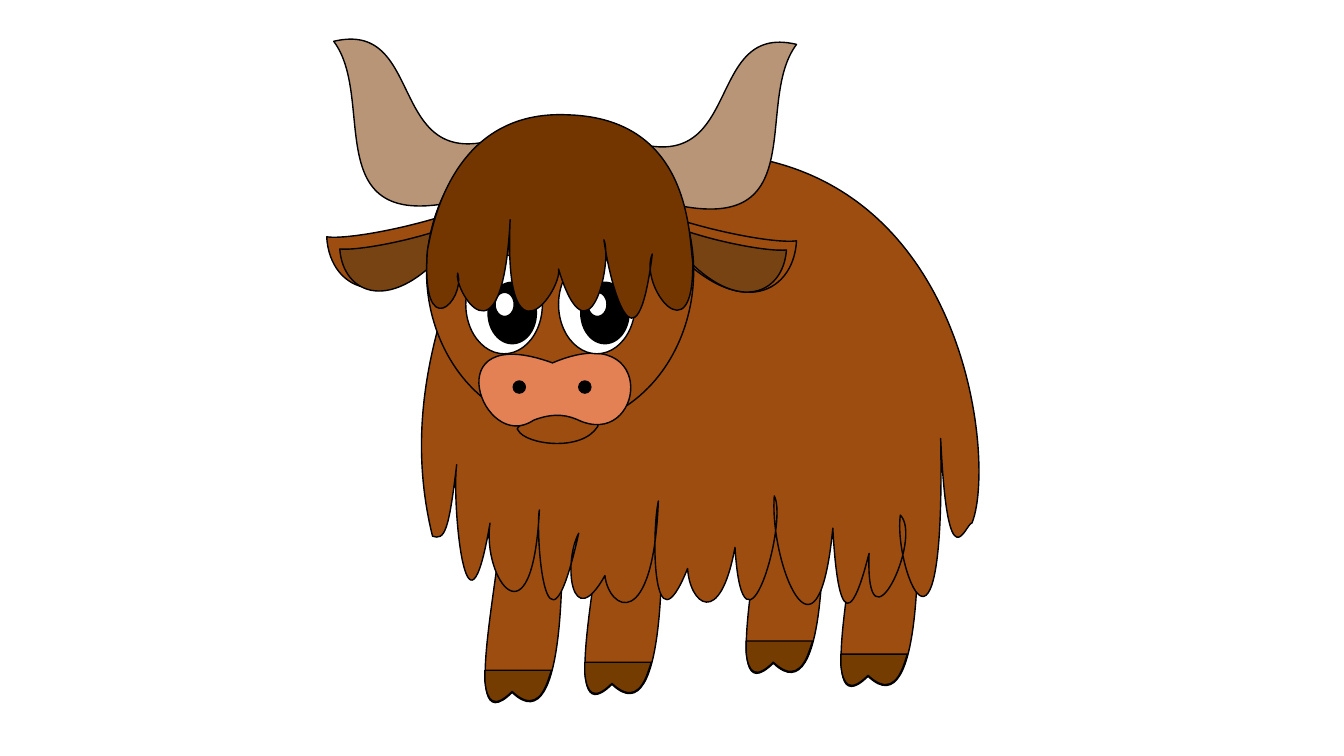
"""Draw a shaggy highland cow as one group of editable shapes."""
from dataclasses import dataclass

from lxml.etree import SubElement
from pptx import Presentation
from pptx.dml.color import RGBColor as RGB
from pptx.enum.shapes import MSO_SHAPE as SHAPE
from pptx.oxml.ns import qn
from pptx.util import Inches, Pt


@dataclass(frozen=True)
class Theme:
    coat: str = "9D4D10"
    hoof: str = "743C01"
    fringe: str = "733600"
    horn: str = "B89577"
    inner_ear: str = "784312"
    muzzle: str = "E38054"
    black: str = "000000"
    white: str = "FFFFFF"
    line_width: float = 1


LEG = [(5, 4.74), (5.56, 4.74), (5.59, 5.42, 5.64, 7.41, 5.08, 6.87),
       (4.5, 7.44, 5.05, 5.44, 5, 4.74)]
HOOF = [(4.81, 6.65), (5.47, 6.65), (5.44, 6.74),
        (5.37, 6.95, 5.26, 7.03, 5.08, 6.86),
        (4.9, 7.04, 4.83, 6.96, 4.81, 6.76), (4.81, 6.65)]
EAR = [(3.24, 2.35), (3.46, 2.38, 4.19, 2.24, 4.69, 2.04), (4.58, 2.3),
       (3.87, 3.17, 3.27, 2.9, 3.24, 2.35)]
INNER_EAR = [(3.37, 2.47), (3.55, 2.49, 4.15, 2.38, 4.56, 2.21), (4.47, 2.43),
             (3.89, 3.14, 3.4, 2.92, 3.37, 2.47)]
HORN = [(3.31, 0.41), (4.27, 0.18, 3.79, 1.86, 5.09, 1.32), (4.75, 1.94),
        (3.08, 2.44, 3.76, 1.01, 3.31, 0.41)]
BODY = [(4.75, 2.04),
        (9.44, 0.02, 9.94, 4.46, 9.64, 5.19), (9.58, 5.18, 9.4, 5.85, 9.33, 4.35),
        (9.38, 6.98, 8.86, 5.62, 8.93, 5.11), (9.16, 5.34, 8.58, 6.56, 8.62, 5.49),
        (8.6, 5.55, 8.34, 6.72, 8.26, 5.24), (8.11, 6.8, 7.63, 5.57, 7.68, 4.92),
        (7.82, 5.18, 7.37, 6.75, 7.29, 5.43), (7.14, 6.25, 6.84, 5.99, 6.82, 5.64),
        (6.47, 6.51, 6.46, 5.3, 6.53, 4.97), (6.48, 6.28, 6.04, 6.06, 6, 5.71),
        (5.67, 6.3, 5.58, 5.59, 5.74, 5.29), (5.4, 6.82, 5.31, 5.24, 5.35, 5.06),
        (5.28, 6.45, 4.78, 5.74, 4.86, 5.19), (4.62, 6.61, 4.48, 4.95, 4.53, 4.61),
        (4.45, 5.28, 4.41, 5.36, 4.29, 5.32), (3.97, 4.02, 4.42, 2.97, 4.75, 2.04)]
LIP = [(5.14, 4.27), (5.07, 4.24, 5.37, 4.1, 5.51, 4.1),
       (5.64, 4.09, 5.98, 4.19, 5.93, 4.23), (5.77, 4.49, 5.21, 4.41, 5.14, 4.27)]
MUZZLE = [(5.48, 3.6), (6.56, 3.14, 6.39, 4.49, 5.72, 4.16),
          (5.58, 4.1, 5.44, 4.11, 5.29, 4.17), (4.79, 4.51, 4.3, 3.17, 5.48, 3.6)]
FRINGE = [(4.54, 2.71),
          (4.62, 2.98, 4.17, 3.44, 4.24, 2.48), (4.29, 2.23, 4.49, 1.08, 5.64, 1.14),
          (6.86, 1.18, 6.83, 2.35, 6.87, 2.59), (6.89, 3.56, 6.33, 2.84, 6.47, 2.52),
          (6.31, 3.8, 6.05, 2.83, 5.99, 2.38), (6.08, 2.6, 5.84, 3.66, 5.54, 2.67),
          (5.58, 2.87, 4.99, 3.73, 5.06, 2.18), (4.98, 3.73, 4.49, 2.85, 4.54, 2.71)]


def shift(outline, dx, dy):
    return [tuple(v + (dy if i % 2 else dx) for i, v in enumerate(seg)) for seg in outline]


def mirror(outline, width, dy):
    """Flip an outline so that x becomes width - x, then move it down by dy."""
    return [tuple(v + dy if i % 2 else width - v for i, v in enumerate(seg)) for seg in outline]


def curve_points(start, seg, steps=24):
    """Return points along a cubic curve, used to size its frame."""
    pts = [start, *zip(seg[::2], seg[1::2])]
    points = []
    for k in range(1, steps + 1):
        t = k / steps
        weights = ((1 - t) ** 3, 3 * t * (1 - t) ** 2, 3 * t * t * (1 - t), t ** 3)
        points.append(tuple(sum(w * p[axis] for w, p in zip(weights, pts)) for axis in (0, 1)))
    return points


class Drawing:
    """Holds the theme and the group of shapes on the current slide."""

    def __init__(self, s, theme):
        self.theme = theme
        self.shapes = s.shapes.add_group_shape().shapes

    def style(self, sp, color):
        sp.shadow.inherit = False
        sp.fill.solid()
        sp.fill.fore_color.rgb = RGB.from_string(color)
        sp.line.color.rgb = RGB.from_string(self.theme.black)
        sp.line.width = Pt(self.theme.line_width)

    def ellipse(self, x, y, w, h, color):
        sp = self.shapes.add_shape(SHAPE.OVAL, Inches(x), Inches(y), Inches(w), Inches(h))
        self.style(sp, color)

    def outline(self, outline, color):
        """Draw a closed outline whose segments are lines (2 numbers) or curves (6)."""
        start = last = outline[0]
        points = []
        for seg in outline[1:]:
            points += [seg] if len(seg) == 2 else curve_points(last, seg)
            last = seg[-2:]
        builder = self.shapes.build_freeform(Inches(start[0]), Inches(start[1]))
        builder.add_line_segments([(Inches(x), Inches(y)) for x, y in points])
        sp = builder.convert_to_shape()
        self.curve(sp, outline[1:])
        self.style(sp, color)

    def curve(self, sp, segments):
        """Replace the straight steps of a freeform by true curves."""
        geometry = next(sp._element.iter(qn("a:path")))
        for node in list(geometry)[1:]:
            geometry.remove(node)
        for seg in segments:
            node = SubElement(geometry, qn("a:lnTo" if len(seg) == 2 else "a:cubicBezTo"))
            for x, y in zip(seg[::2], seg[1::2]):
                SubElement(node, qn("a:pt"), x=str(Inches(x) - sp.left), y=str(Inches(y) - sp.top))
        SubElement(geometry, qn("a:close"))

    def leg(self, dx, dy):
        self.outline(shift(LEG, dx, dy), self.theme.coat)
        self.outline(shift(HOOF, dx, dy), self.theme.hoof)

    def eye(self, x):
        self.ellipse(x, 2.53, 0.76, 0.98, self.theme.white)
        self.ellipse(x + 0.22, 2.8, 0.48, 0.61, self.theme.black)
        self.ellipse(x + 0.29, 2.9, 0.19, 0.24, self.theme.white)


def main():
    prs = Presentation()
    prs.slide_width, prs.slide_height = Inches(13.33), Inches(7.5)
    theme = Theme()
    cow = Drawing(prs.slides.add_slide(prs.slide_layouts[6]), theme)

    for dx, dy in ((0, 0), (0.99, -0.08), (3.53, -0.16), (2.59, -0.29)):
        cow.leg(dx, dy)
    cow.outline(EAR, theme.coat)
    cow.outline(HORN, theme.horn)
    cow.outline(BODY, theme.coat)
    cow.outline(mirror(EAR, 11.14, 0.04), theme.coat)
    cow.outline(mirror(HORN, 11.21, 0.03), theme.horn)
    cow.outline(mirror(INNER_EAR, 11.17, 0.01), theme.inner_ear)
    cow.outline(INNER_EAR, theme.inner_ear)

    cow.ellipse(4.23, 1.15, 2.65, 3.08, theme.coat)
    cow.outline(LIP, theme.coat)
    cow.outline(MUZZLE, theme.muzzle)
    for nostril_x in (5.09, 5.74):
        cow.ellipse(nostril_x, 3.78, 0.12, 0.12, theme.black)
    for eye_x in (5.54, 4.62):
        cow.eye(eye_x)
    cow.outline(FRINGE, theme.fringe)

    prs.save("out.pptx")


if __name__ == "__main__":
    main()
